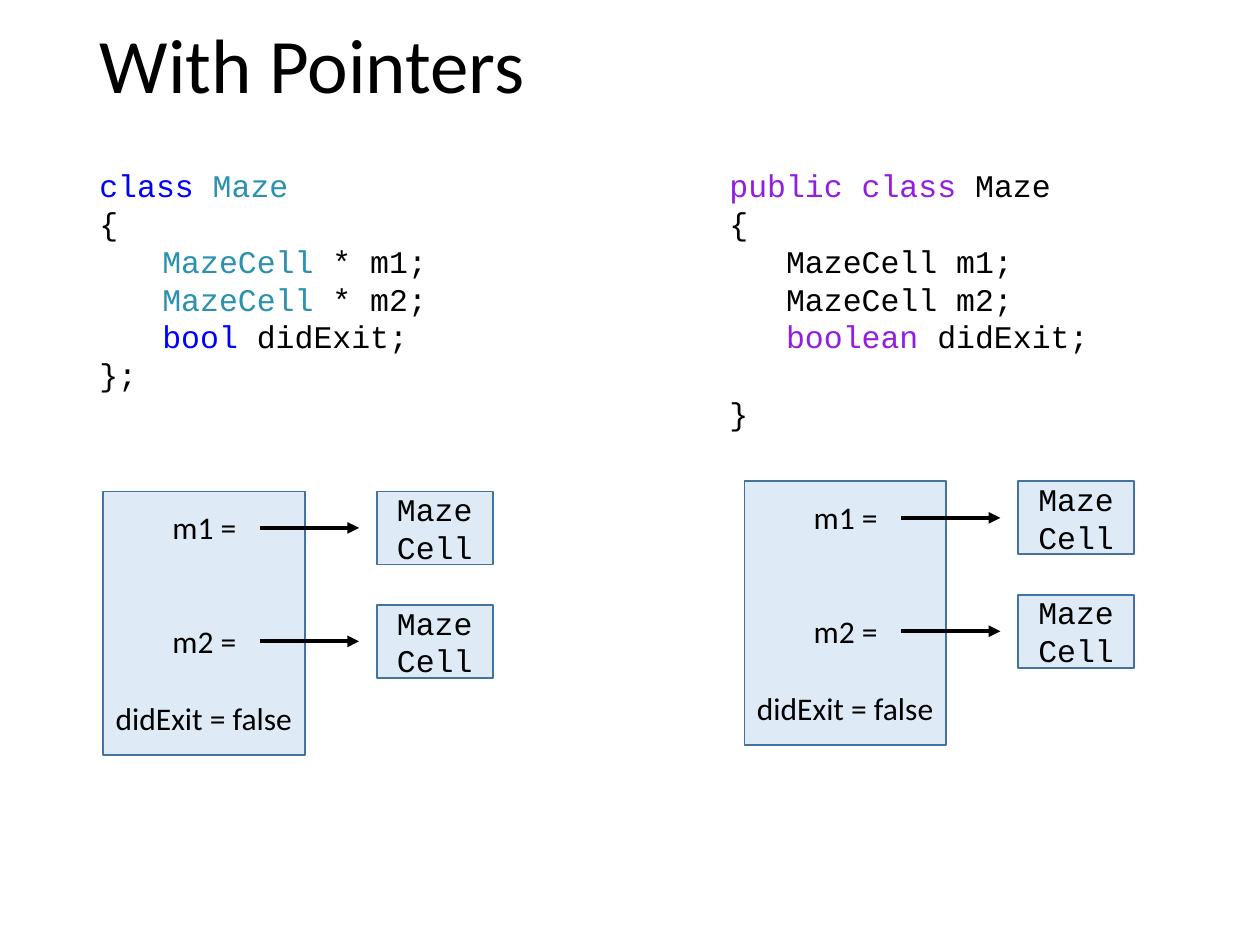
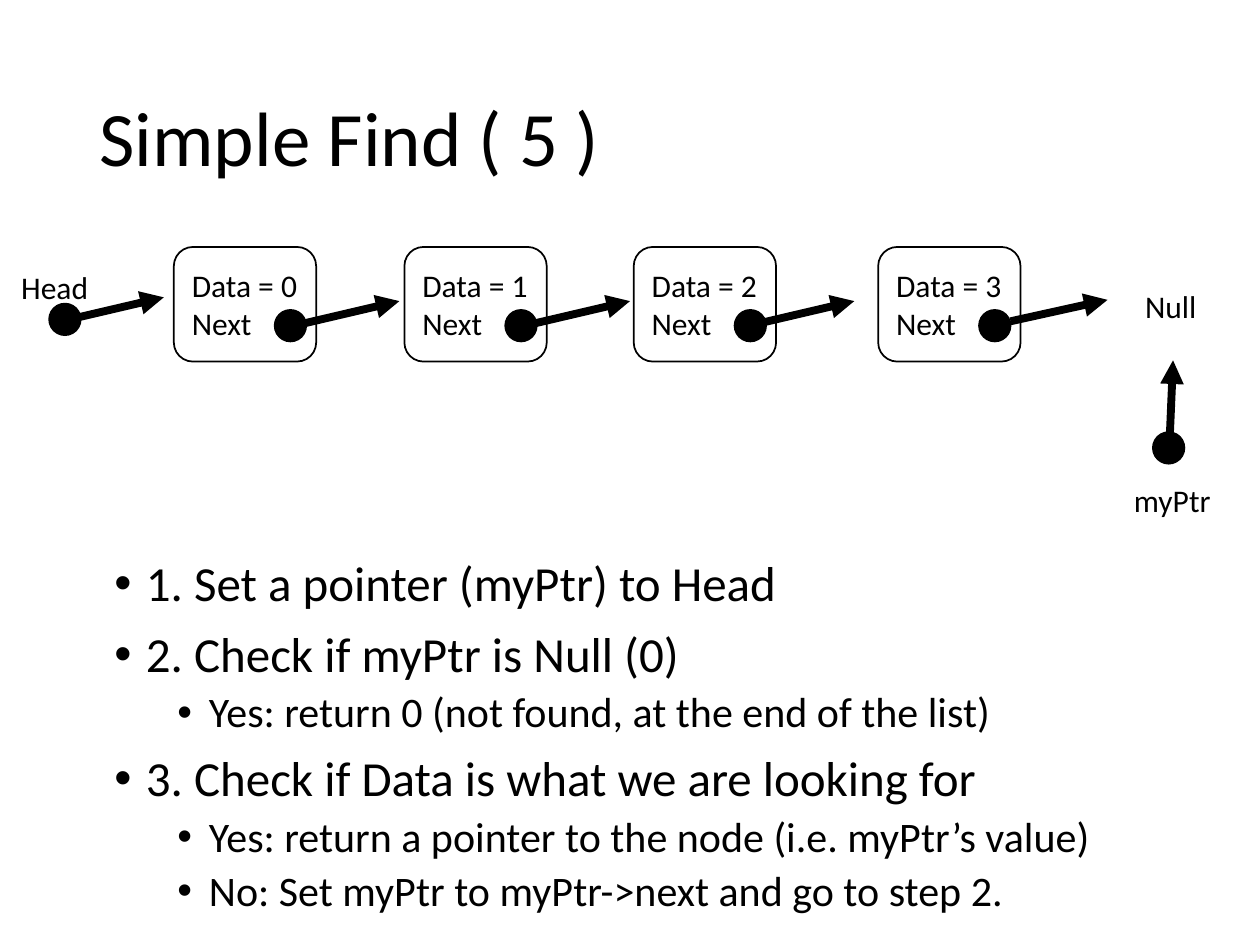
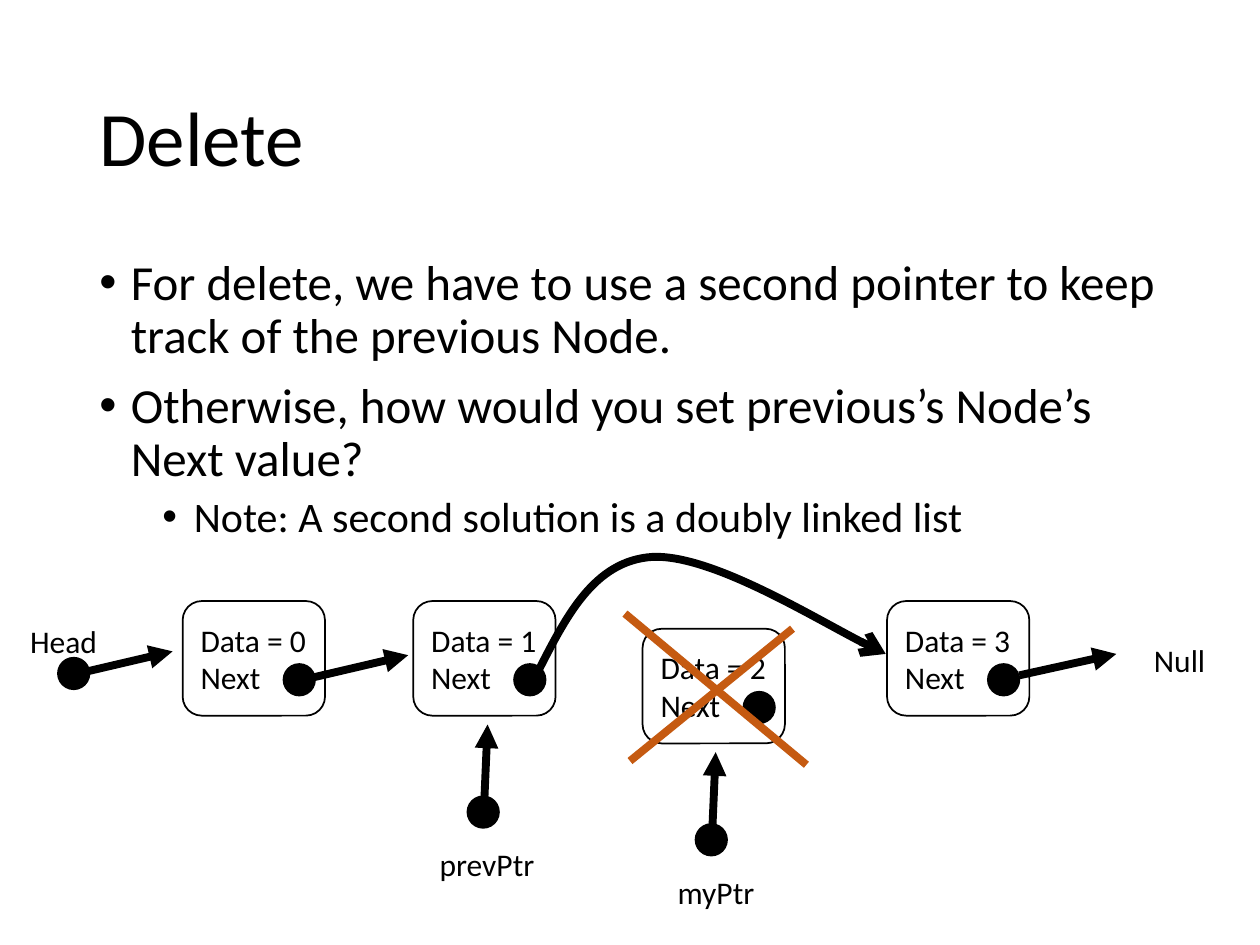
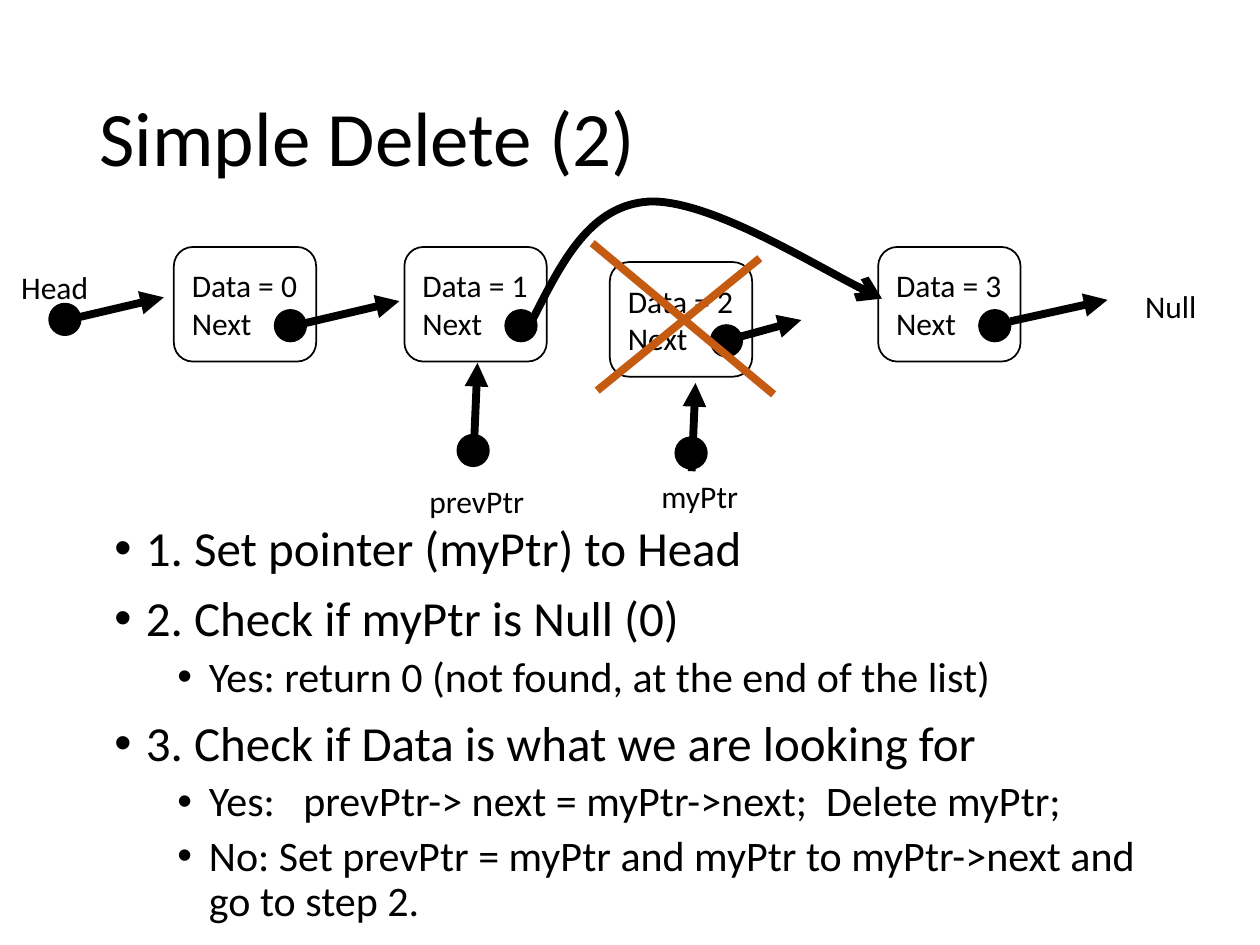
from lxml import etree
from pptx import Presentation
from pptx import util as u
from pptx.dml.color import RGBColor
from pptx.enum import shapes, text
from pptx.oxml.ns import qn

BLACK = RGBColor(0x00, 0x00, 0x00)
WHITE = RGBColor(0xFF, 0xFF, 0xFF)
PALE_BLUE = RGBColor(0xDE, 0xEB, 0xF7)
EDGE_BLUE = RGBColor(0x43, 0x73, 0x9E)
KEYWORD = RGBColor(0x00, 0x00, 0xFF)
TYPE = RGBColor(0x2B, 0x91, 0xAF)
PURPLE = RGBColor(0x94, 0x1E, 0xDF)
ORANGE = RGBColor(0xC5, 0x5A, 0x11)
SANS, MONO = "Calibri", "Courier New"
SLIDE_W, SLIDE_H = 10, 7.5
TITLE_Y = 0.4
MARGIN, CONTENT_W = 0.69, 8.62
DOT = 0.25
THICK = 4.5
NODE_W, NODE_H = 1.13, 0.91
LINK = (1.02, 0.61, 0.77, -0.18)  # start and extent of a node's arrow
LAST_LINK = (1.05, 0.59, 0.77, -0.17)


def inches(*values):
    """Turn numbers into lengths."""
    return [u.Inches(v) for v in values]


def set_all(obj, formats):
    """Set every attribute named in a dict of format values."""
    for name, value in formats.items():
        setattr(obj, name, value)


def add_run(p, words, size=18, font=SANS, color=BLACK):
    """Add one formatted run to a paragraph."""
    r = p.add_run()
    r.text = words
    set_all(r.font, {"size": u.Pt(size), "name": font})
    r.font.color.rgb = color


def paragraphs(tf, count):
    """Return the given number of paragraphs of an empty text frame."""
    return [tf.paragraphs[0]] + [tf.add_paragraph() for _ in range(count - 1)]


def set_indent(p, left, first=0):
    """Set the left margin and first-line indent of a paragraph."""
    pPr = p._p.get_or_add_pPr()
    pPr.set("marL", str(u.Inches(left)))
    pPr.set("indent", str(u.Inches(first)))
    return pPr


def add_box(s, x, y, w, h, wrap=True):
    """Add an empty text box and return its text frame."""
    tf = s.shapes.add_textbox(*inches(x, y, w, h)).text_frame
    tf.word_wrap = wrap
    return tf


def add_shape(s, kind, x, y, w, h, fill, edge):
    """Add a filled, thinly outlined shape without a shadow."""
    sp = s.shapes.add_shape(kind, *inches(x, y, w, h))
    sp.shadow.inherit = False
    sp.fill.solid()
    sp.fill.fore_color.rgb = fill
    sp.line.color.rgb = edge
    sp.line.width = u.Pt(1)
    return sp


def add_head(sp, kind):
    """Put an arrowhead at the end of a line."""
    etree.SubElement(sp.line._get_or_add_ln(), qn("a:tailEnd")).set("type", kind)


def add_line(s, x, y, w, h, width=THICK, color=BLACK, head="triangle"):
    """Draw a line from (x, y) over the extent (w, h)."""
    ln = s.shapes.add_connector(shapes.MSO_CONNECTOR.STRAIGHT,
                                *inches(x, y, x + w, y + h))
    ln.line.color.rgb = color
    ln.line.width = u.Pt(width)
    if head:
        add_head(ln, head)
    etree.SubElement(ln._element.spPr, qn("a:effectLst"))


def add_dot(s, x, y):
    """Draw the round tail of a pointer."""
    add_shape(s, shapes.MSO_SHAPE.OVAL, x, y, DOT, DOT, BLACK, BLACK)


def add_label(s, words, x, y, w):
    """Write a one-line label."""
    add_run(add_box(s, x, y, w, 0.4, wrap=False).paragraphs[0], words)


def add_slide(prs, title, y=TITLE_Y):
    """Add a title-only slide and format its title."""
    s = prs.slides.add_slide(prs.slide_layouts[5])
    sp = s.shapes.title
    names = ("left", "top", "width", "height")
    set_all(sp, dict(zip(names, inches(MARGIN, y, CONTENT_W, 1.45))))
    tf = sp.text_frame
    set_all(tf, {"vertical_anchor": text.MSO_ANCHOR.MIDDLE, "word_wrap": True,
                 "auto_size": text.MSO_AUTO_SIZE.NONE})
    p = tf.paragraphs[0]
    set_all(p, {"alignment": text.PP_ALIGN.LEFT, "line_spacing": 0.9})
    add_run(p, title, size=44)
    return s


def bullet_list(s, x, y, items):
    """Write (level, words) items as bullets down to the slide's lower edge."""
    tf = add_box(s, x, y, CONTENT_W, SLIDE_H - y)
    for p, (level, words) in zip(paragraphs(tf, len(items)), items):
        set_all(p, {"level": level, "line_spacing": 0.9,
                    "space_before": u.Pt(5 if level else 10)})
        pPr = set_indent(p, 0.25 + 0.5 * level, -0.25)
        etree.SubElement(pPr, qn("a:buFont")).set("typeface", "Arial")
        etree.SubElement(pPr, qn("a:buChar")).set("char", "\u2022")
        add_run(p, words, size=24 if level else 28)


def code_block(s, x, y, w, h, lines, indent, last_gap=0):
    """Write code as (depth, [(words, colour)]) lines."""
    tf = add_box(s, x, y, w, h)
    ps = paragraphs(tf, len(lines))
    for p, (depth, parts) in zip(ps, lines):
        set_indent(p, depth * indent)
        for words, color in parts:
            add_run(p, words, font=MONO, color=color)
    ps[-1].space_before = u.Pt(last_gap)


def maze_object(s, x, y):
    """Draw a maze object whose two members point at cells."""
    g = s.shapes.add_group_shape()
    holder = type("Holder", (), {"shapes": g.shapes})
    rect = shapes.MSO_SHAPE.RECTANGLE
    add_shape(holder, rect, x, y, 1.6, 2.09, PALE_BLUE, EDGE_BLUE)
    for row in range(2):
        top = y + 0.9 * row
        tf = add_shape(holder, rect, x + 2.17, top, 0.92, 0.58,
                       PALE_BLUE, EDGE_BLUE).text_frame
        set_all(tf, {"word_wrap": True,
                     "vertical_anchor": text.MSO_ANCHOR.MIDDLE})
        tf.paragraphs[0].alignment = text.PP_ALIGN.CENTER
        add_run(tf.paragraphs[0], "MazeCell", font=MONO)
        add_line(holder, x + 1.24, top + 0.29, 0.79, 0, width=2.25)
    members = [("m1 =", 0.45, 0), ("m2 =", 0.45, 44), ("didExit = false", 0, 22)]
    tf = add_box(holder, x, y + 0.08, 1.67, 1.92)
    for p, (words, indent, gap) in zip(paragraphs(tf, 3), members):
        set_indent(p, indent)
        p.space_before = u.Pt(gap)
        add_run(p, words)


def list_node(s, x, y, value):
    """Draw one list node with its data, next field and dot."""
    g = s.shapes.add_group_shape()
    holder = type("Holder", (), {"shapes": g.shapes})
    tf = add_shape(holder, shapes.MSO_SHAPE.ROUNDED_RECTANGLE, x, y,
                   NODE_W, NODE_H, WHITE, BLACK).text_frame
    set_all(tf, {"word_wrap": True, "margin_right": u.Inches(0.05),
                 "vertical_anchor": text.MSO_ANCHOR.MIDDLE})
    for p, words in zip(paragraphs(tf, 2), (f"Data = {value}", "Next")):
        p.alignment = text.PP_ALIGN.LEFT
        add_run(p, words)
    add_dot(holder, x + 0.8, y + 0.5)


def linked_list(s, x, y, third, links):
    """Draw the list from Head to Null; third is the offset of node 2."""
    offsets = [(1.31, 0), (3.14, 0), third, (6.9, 0)]
    for value, (dx, dy) in enumerate(offsets):
        list_node(s, x + dx, y + dy, value)
    for (dx, dy), link in zip(offsets, links):
        if link:
            left, top, w, h = link
            add_line(s, x + dx + left, y + dy + top, w, h)
    add_label(s, "Head", x, y + 0.12, 0.74)
    add_line(s, x + 0.46, y + 0.58, 0.77, -0.18)
    add_label(s, "Null", x + 8.92, y + 0.27, 0.61)
    add_dot(s, x + 0.32, y + 0.45)


def pointer(s, name, x, y, label, stem=0.13):
    """Draw an upward pointer with its dot at (x, y); label is (dx, dy, w)."""
    dx, dy, w = label
    add_label(s, name, x + dx, y + dy, w)
    add_line(s, x + 0.13, y + stem, 0.03, -0.7)
    add_dot(s, x, y)


def bypass(s, x, y):
    """Draw the curved arrow that skips a node, starting at (x, y)."""
    steps = [(0.23, -0.45), (0.45, -0.9), (0.92, -0.93),
             (1.38, -0.95), (2.45, -0.3), (2.77, -0.16)]
    fb = s.shapes.build_freeform(*inches(x, y))
    fb.add_line_segments([inches(x + dx, y + dy) for dx, dy in steps], close=False)
    sp = fb.convert_to_shape()
    sp.shadow.inherit = False
    sp.fill.background()
    sp.line.color.rgb = BLACK
    sp.line.width = u.Pt(THICK)
    add_head(sp, "arrow")
    segments = list(sp._element.iter(qn("a:lnTo")))
    for i in range(0, len(segments), 3):
        curve = etree.Element(qn("a:cubicBezTo"))
        segments[i].addprevious(curve)
        for segment in segments[i:i + 3]:
            curve.append(segment[0])
            segment.getparent().remove(segment)


def cross_out(s, x, y):
    """Cross out the node in the box whose corner is (x, y)."""
    add_line(s, x + 1.44, y + 1.2, -1.44, -1.2, color=ORANGE, head=None)
    add_line(s, x + 1.33, y + 0.12, -1.29, 1.05, color=ORANGE, head=None)


def pointers_slide(prs):
    """Compare member pointers in two languages."""
    s = add_slide(prs, "With Pointers", y=-0.18)
    left = [(0, [("class", KEYWORD), (" ", BLACK), ("Maze", TYPE)]),
            (0, [("{", BLACK)]),
            (1, [("MazeCell", TYPE), (" * m1;", BLACK)]),
            (1, [("MazeCell", TYPE), (" * m2;", BLACK)]),
            (1, [("bool", KEYWORD), (" didExit;", BLACK)]),
            (0, [("};", BLACK)])]
    right = [(0, [("public class", PURPLE), (" Maze", BLACK)]),
             (0, [("{", BLACK)]),
             (1, [("MazeCell m1;", BLACK)]),
             (1, [("MazeCell m2;", BLACK)]),
             (1, [("boolean ", PURPLE), ("didExit;", BLACK)]),
             (0, [("}", BLACK)])]
    code_block(s, MARGIN, 1.27, 5, 1.92, left, 0.5)
    code_block(s, 5.69, 1.27, 4.31, 2.52, right, 0.45, last_gap=22)
    maze_object(s, 5.91, 3.82)
    maze_object(s, 0.82, 3.9)


def find_slide(prs):
    """Show a search that runs off the end of the list."""
    s = add_slide(prs, "Simple Find ( 5 )")
    linked_list(s, 0.07, 1.96, (4.96, 0),
                [LINK, LINK, (0.98, 0.61, 0.77, -0.18), LAST_LINK])
    bullet_list(s, 0.81, 4.39, [
        (0, "1. Set a pointer (myPtr) to Head"),
        (0, "2. Check if myPtr is Null (0)"),
        (1, "Yes: return 0 (not found, at the end of the list)"),
        (0, "3. Check if Data is what we are looking for"),
        (1, "Yes: return a pointer to the node (i.e. myPtr\u2019s value)"),
        (1, "No: Set myPtr to myPtr->next and go to step 2.")])
    pointer(s, "myPtr", 9.15, 3.43, (-0.25, 0.34, 0.82))


def delete_slide(prs):
    """Explain why deletion needs a second pointer."""
    s = add_slide(prs, "Delete")
    bullet_list(s, MARGIN, 2, [
        (0, "For delete, we have to use a second pointer to keep track of "
            "the previous Node."),
        (0, "Otherwise, how would you set previous\u2019s Node\u2019s Next value?"),
        (1, "Note: A second solution is a doubly linked list")])
    linked_list(s, 0.14, 4.77, (4.96, 0.22), [LINK, None, None, LAST_LINK])
    pointer(s, "myPtr", 5.52, 6.54, (-0.24, 0.34, 0.82))
    pointer(s, "prevPtr", 3.71, 6.32, (-0.32, 0.34, 0.96))
    bypass(s, 4.26, 5.35)
    cross_out(s, 4.96, 4.87)


def delete_steps_slide(prs):
    """List the steps that delete node 2."""
    s = add_slide(prs, "Simple Delete (2)")
    linked_list(s, 0.07, 1.96, (4.77, 0.12),
                [LINK, None, (0.97, 0.61, 0.55, -0.15), LAST_LINK])
    bullet_list(s, 0.81, 4.11, [
        (0, "1. Set pointer (myPtr) to Head"),
        (0, "2. Check if myPtr is Null (0)"),
        (1, "Yes: return 0 (not found, at the end of the list)"),
        (0, "3. Check if Data is what we are looking for"),
        (1, "Yes:   prevPtr-> next = myPtr->next;  Delete myPtr;"),
        (1, "No: Set prevPtr = myPtr and myPtr to myPtr->next and go to step 2.")])
    pointer(s, "myPtr", 5.36, 3.47, (-0.21, 0.27, 0.82), stem=0.27)
    pointer(s, "prevPtr", 3.63, 3.45, (-0.32, 0.33, 0.96))
    bypass(s, 4.23, 2.53)
    cross_out(s, 4.7, 1.93)


def main():
    """Build and save the deck."""
    prs = Presentation()
    prs.slide_width, prs.slide_height = inches(SLIDE_W, SLIDE_H)
    for build in (pointers_slide, find_slide, delete_slide, delete_steps_slide):
        build(prs)
    prs.save("out.pptx")


main()
